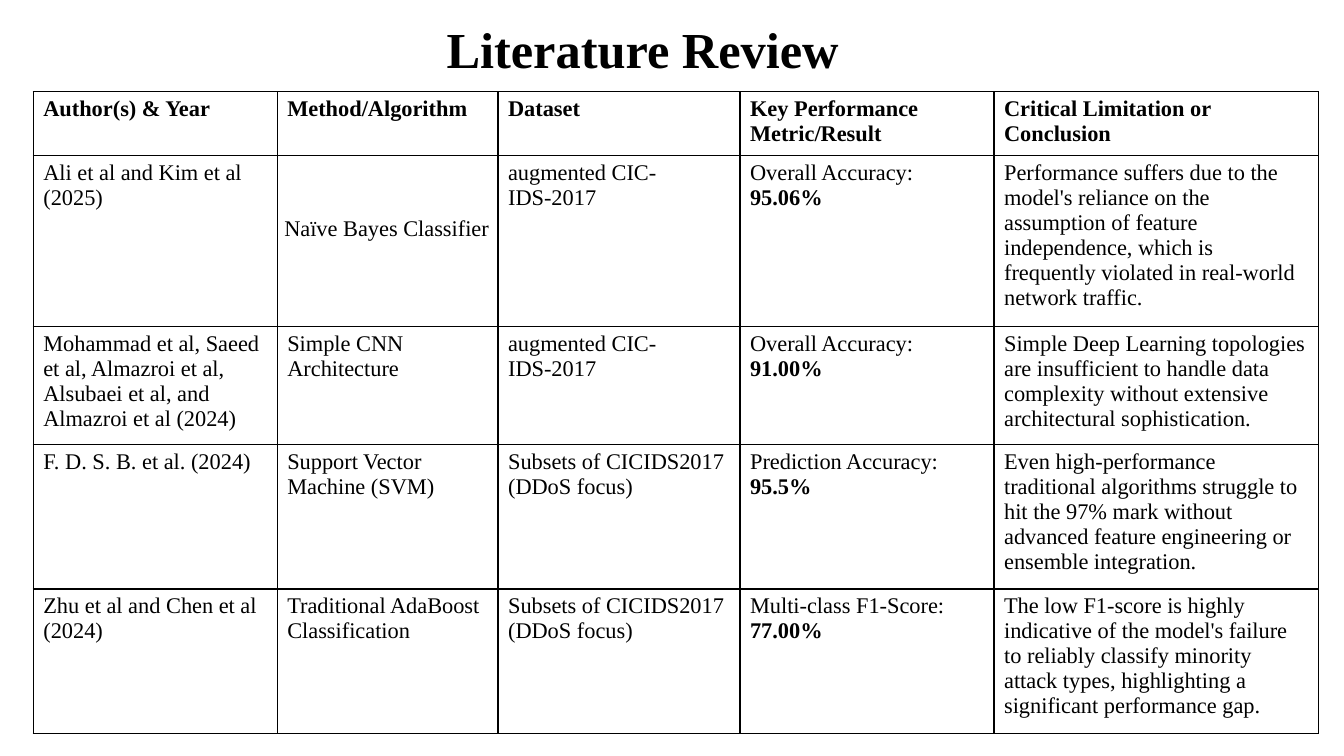
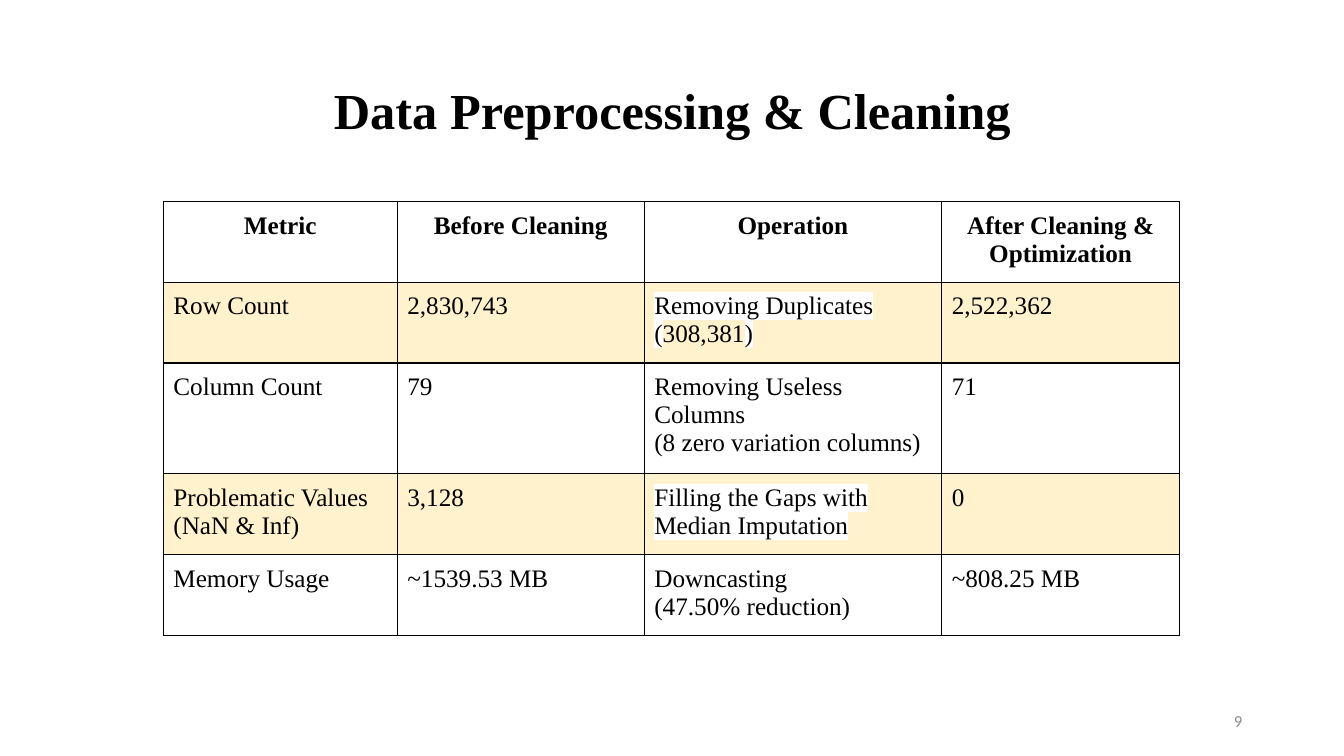
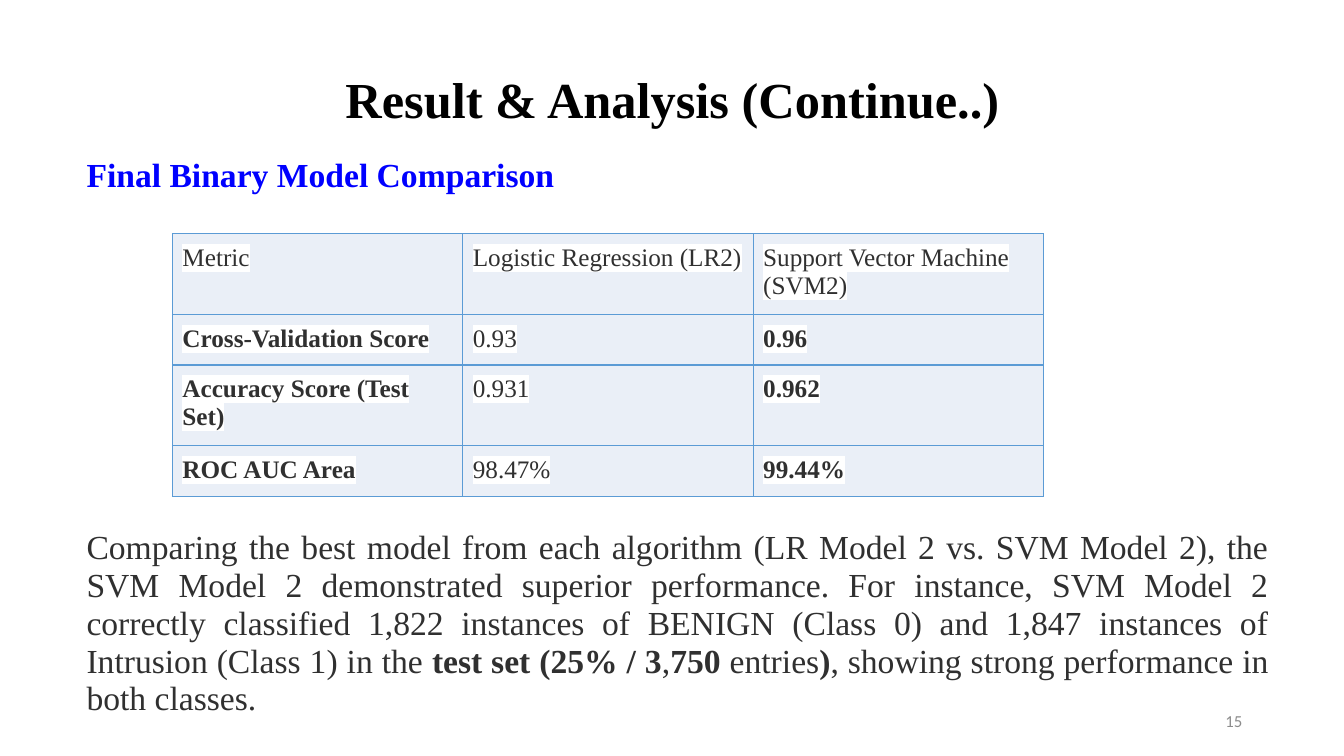
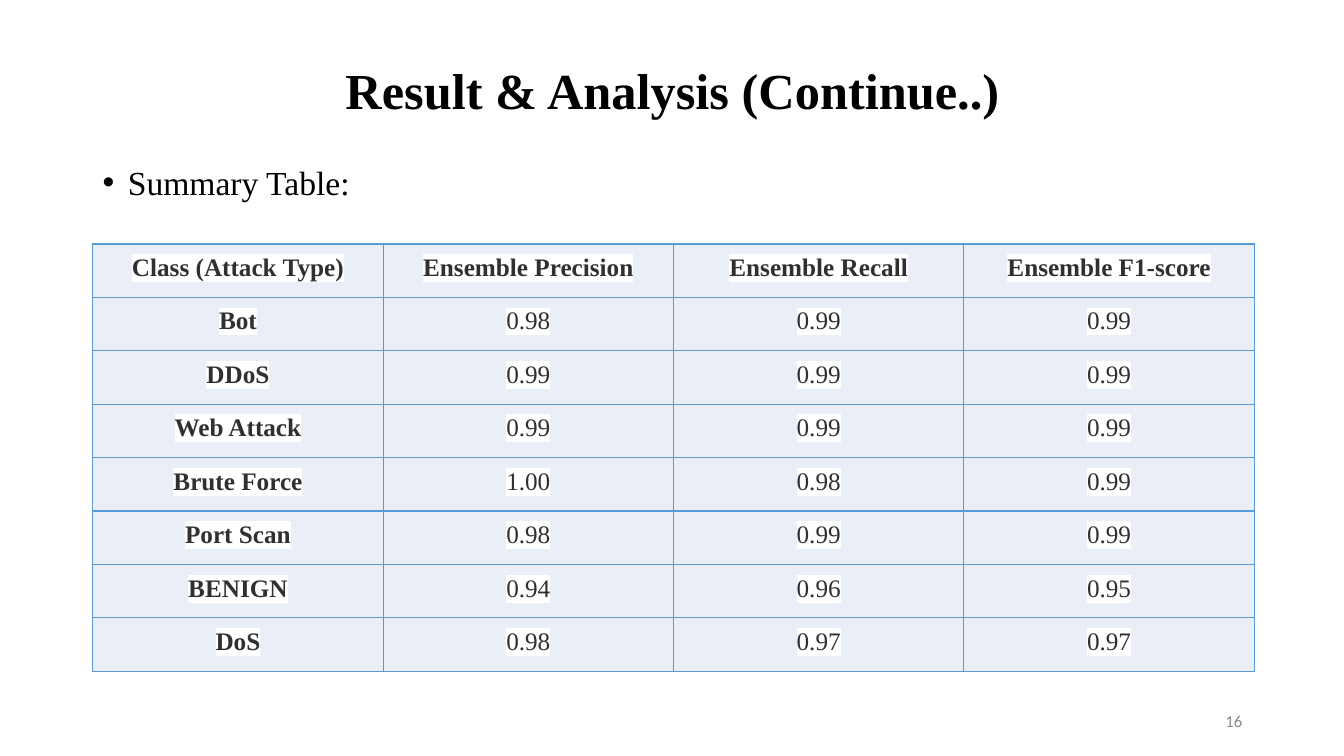
"""Four slides of an intrusion detection talk: three comparisons and a data cleaning summary."""
from pptx import Presentation
from pptx.dml.color import RGBColor
from pptx.enum.text import MSO_ANCHOR, PP_ALIGN
from pptx.oxml import parse_xml
from pptx.oxml.ns import nsdecls
from pptx.util import Inches, Pt

BLACK = RGBColor(0x00, 0x00, 0x00)
WHITE = RGBColor(0xFF, 0xFF, 0xFF)
CHARCOAL = RGBColor(0x30, 0x30, 0x30)
GREY = RGBColor(0x8C, 0x8C, 0x8C)
BLUE = RGBColor(0x00, 0x00, 0xFF)
LINE_BLUE = RGBColor(0x5B, 0x9B, 0xD5)
PALE_BLUE = RGBColor(0xEA, 0xEF, 0xF7)
PALE_GOLD = RGBColor(0xFF, 0xF2, 0xCC)

SERIF = "Times New Roman"
TITLE = dict(name=SERIF, size=Pt(36), bold=True, color=BLACK)
NUMBER = dict(name="Calibri", size=Pt(12), color=GREY)
HEADING = dict(name=SERIF, size=Pt(24), bold=True, color=BLUE)
BODY = dict(name=SERIF, size=Pt(24), bold=False, color=CHARCOAL)
BULLET = dict(BODY, color=BLACK)
REVIEW = dict(name=SERIF, size=Pt(16), bold=False, color=BLACK)
CLEANING = dict(REVIEW, size=Pt(18))
SCORE = dict(CLEANING, color=CHARCOAL, highlight=WHITE)
STRONG = dict(bold=True)
MARKED = dict(highlight=WHITE)

REVIEW_ROWS = [
    ["*Author(s) & Year*", "*Method/Algorithm*", "*Dataset*",
     "*Key Performance Metric/Result*", "*Critical Limitation or Conclusion*"],
    ["Ali et al and Kim et al (2025)", "Naïve Bayes Classifier", "augmented CIC-IDS-2017",
     "Overall Accuracy: *95.06%*",
     "Performance suffers due to the model's reliance on the assumption of feature "
     "independence, which is frequently violated in real-world network traffic."],
    ["Mohammad et al, Saeed et al, Almazroi et al, Alsubaei et al, and Almazroi et al (2024)",
     "Simple CNN Architecture", "augmented CIC-IDS-2017", "Overall Accuracy: *91.00%*",
     "Simple Deep Learning topologies are insufficient to handle data complexity without "
     "extensive architectural sophistication."],
    ["F. D. S. B. et al. (2024)", "Support Vector Machine (SVM)",
     "Subsets of CICIDS2017 (DDoS focus)", "Prediction Accuracy: *95.5%*",
     "Even high-performance traditional algorithms struggle to hit the 97% mark without "
     "advanced feature engineering or ensemble integration."],
    ["Zhu et al and Chen et al (2024)", "Traditional AdaBoost Classification",
     "Subsets of CICIDS2017 (DDoS focus)", "Multi-class F1-Score: *77.00%*",
     "The low F1-score is highly indicative of the model's failure to reliably classify "
     "minority attack types, highlighting a significant performance gap."],
]
CLEANING_ROWS = [
    ["Metric", "Before Cleaning", "Operation", "After Cleaning & Optimization"],
    ["Row Count", "2,830,743", "*Removing Duplicates (*308,381*)*", "2,522,362"],
    ["Column Count", "79", "*Removing Useless Columns*\n(8 zero variation columns)", "71"],
    ["Problematic Values (NaN & Inf)", "3,128", "*Filling the Gaps with Median Imputation*", "0"],
    ["Memory Usage", "~1539.53 MB", "*Downcasting*\n(47.50% reduction)", "~808.25 MB"],
]
BINARY_ROWS = [
    ["Metric", "Logistic Regression (LR2)", "Support Vector Machine (SVM2)"],
    ["*Cross-Validation Score*", "0.93", "*0.96*"],
    ["*Accuracy Score (Test Set)*", "0.931", "*0.962*"],
    ["*ROC AUC Area*", "98.47%", "*99.44%*"],
]
SUMMARY_ROWS = [
    ["*Class (Attack Type)*", "*Ensemble Precision*", "*Ensemble Recall*", "*Ensemble F1-score*"],
    ["*Bot*", "0.98", "0.99", "0.99"],
    ["*DDoS*", "0.99", "0.99", "0.99"],
    ["*Web Attack*", "0.99", "0.99", "0.99"],
    ["*Brute Force*", "1.00", "0.98", "0.99"],
    ["*Port Scan*", "0.98", "0.99", "0.99"],
    ["*BENIGN*", "0.94", "0.96", "0.95"],
    ["*DoS*", "0.98", "0.97", "0.97"],
]
COMPARISON = (
    "Comparing the best model from each algorithm (LR Model 2 vs. SVM Model 2), the SVM Model 2 "
    "demonstrated superior performance. For instance, SVM Model 2 correctly classified 1,822 "
    "instances of BENIGN (Class 0) and 1,847 instances of Intrusion (Class 1) in the "
    "*test set (25% / 3*,*750* entries*)*, showing strong performance in both classes."
)


def format_run(r, fmt):
    """Apply a dict of format values to a run."""
    for key, value in fmt.items():
        if key == "color":
            r.font.color.rgb = value
        elif key != "highlight":
            setattr(r.font, key, value)
    if "highlight" in fmt:
        mark = parse_xml(f'<a:highlight {nsdecls("a")}><a:srgbClr val="{fmt["highlight"]}"/></a:highlight>')
        r.font.fill._xPr.solidFill.addnext(mark)


def write(tf, text, fmt, accent=STRONG, align=PP_ALIGN.LEFT, spacing=None):
    """Write one paragraph per line, with the parts between asterisks accented."""
    for i, line in enumerate(text.split("\n")):
        p = tf.add_paragraph() if i else tf.paragraphs[0]
        p.alignment, p.line_spacing = align, spacing
        for j, part in enumerate(line.split("*")):
            if part:
                r = p.add_run()
                r.text = part
                format_run(r, {**fmt, **accent} if j % 2 else fmt)


def add_text(s, box, text, fmt, anchor=MSO_ANCHOR.TOP, **kw):
    """Add a wrapping text box and return its text frame."""
    tf = s.shapes.add_textbox(*map(Inches, box)).text_frame
    tf.word_wrap, tf.vertical_anchor = True, anchor
    write(tf, text, fmt, **kw)
    return tf


def add_bullet(p):
    """Give a paragraph a hanging round bullet."""
    pPr = p._p.get_or_add_pPr()
    pPr.set("marL", str(Inches(0.25)))
    pPr.set("indent", str(-Inches(0.25)))
    pPr.append(parse_xml(f'<a:buFont {nsdecls("a")} typeface="Arial"/>'))
    pPr.append(parse_xml(f'<a:buChar {nsdecls("a")} char="•"/>'))


def add_borders(cell, color):
    """Draw a one point line on each side of a cell."""
    tcPr = cell._tc.get_or_add_tcPr()
    for side in "LRTB":
        tcPr.append(parse_xml(
            f'<a:ln{side} {nsdecls("a")} w="{Pt(1)}"><a:solidFill>'
            f'<a:srgbClr val="{color}"/></a:solidFill></a:ln{side}>'))


def add_grid(s, left, top, cols, heights, rows, fmt, line, fills, accent=STRONG,
             header=None, aligns=(PP_ALIGN.LEFT, PP_ALIGN.LEFT), inset=0.1):
    """Add a bordered table; fills repeat by row and aligns are for header and body."""
    box = map(Inches, (left, top, sum(cols), sum(heights)))
    table = s.shapes.add_table(len(rows), len(cols), *box).table
    table.first_row = table.horz_banding = False
    for col, width in zip(table.columns, cols):
        col.width = Inches(width)
    for i, (row, height) in enumerate(zip(rows, heights)):
        table.rows[i].height = Inches(height)
        for j, text in enumerate(row):
            cell = table.cell(i, j)
            cell.margin_left = cell.margin_right = Inches(0.1)
            cell.margin_top = cell.margin_bottom = Inches(inset)
            add_borders(cell, line)
            cell.fill.solid()
            cell.fill.fore_color.rgb = fills[i % len(fills)]
            cell_fmt = fmt if i or header is None else header
            write(cell.text_frame, text, cell_fmt, accent, aligns[min(i, 1)])
    return table


def new_slide(prs, title, box, number):
    """Add a blank slide with its title and slide number."""
    s = prs.slides.add_slide(prs.slide_layouts[6])
    add_text(s, box, title, TITLE, MSO_ANCHOR.MIDDLE, align=PP_ALIGN.CENTER, spacing=0.9)
    add_text(s, (9.42, 6.95, 3, 0.4), str(number), NUMBER, MSO_ANCHOR.MIDDLE, align=PP_ALIGN.RIGHT)
    return s


def main():
    """Build and save the slides."""
    prs = Presentation()
    prs.slide_width, prs.slide_height = Inches(13.33), Inches(7.5)

    s = new_slide(prs, "Literature Review", (0.33, 0, 12.09, 1.04), 4)
    table = add_grid(s, 0.33, 0.91, [2.42, 2.19, 2.4, 2.52, 3.22], [0.63, 1.58, 1.14, 1.34, 1.4],
                     REVIEW_ROWS, REVIEW, BLACK, [WHITE], inset=0.05)
    bayes = table.cell(1, 1)
    bayes.vertical_anchor = MSO_ANCHOR.MIDDLE
    bayes.margin_left = bayes.margin_right = Inches(0.07)
    bayes.margin_top, bayes.margin_bottom = 0, Inches(0.25)

    s = new_slide(prs, "Data Preprocessing & Cleaning", (0.92, 0.4, 11.5, 1.45), 9)
    add_grid(s, 1.62, 2, [2.32, 2.45, 2.95, 2.36], [0.75, 0.75, 1.03, 0.75, 0.75],
             CLEANING_ROWS, CLEANING, BLACK, [WHITE, PALE_GOLD], MARKED,
             {**CLEANING, **STRONG}, (PP_ALIGN.CENTER, PP_ALIGN.LEFT))

    s = new_slide(prs, "Result & Analysis (Continue..)", (0.92, 0.4, 11.5, 1.22), 15)
    add_text(s, (0.76, 1.51, 11.92, 0.5), "Final Binary Model Comparison", HEADING, spacing=0.94)
    add_text(s, (0.76, 5.2, 11.92, 1.9), COMPARISON, BODY, align=PP_ALIGN.JUSTIFY, spacing=0.94)
    add_grid(s, 1.71, 2.32, [2.88] * 3, [0.75, 0.48, 0.75, 0.48],
             BINARY_ROWS, SCORE, LINE_BLUE, [PALE_BLUE])

    s = new_slide(prs, "Result & Analysis (Continue..)", (0.92, 0.4, 11.5, 1.04), 16)
    tf = add_text(s, (0.92, 1.6, 11.5, 0.64), "Summary Table:", BULLET, spacing=0.9)
    add_bullet(tf.paragraphs[0])
    add_grid(s, 0.92, 2.42, [2.88] * 4, [0.53] * 8, SUMMARY_ROWS, SCORE, LINE_BLUE, [PALE_BLUE],
             aligns=(PP_ALIGN.CENTER, PP_ALIGN.CENTER))

    prs.save("out.pptx")


if __name__ == "__main__":
    main()
